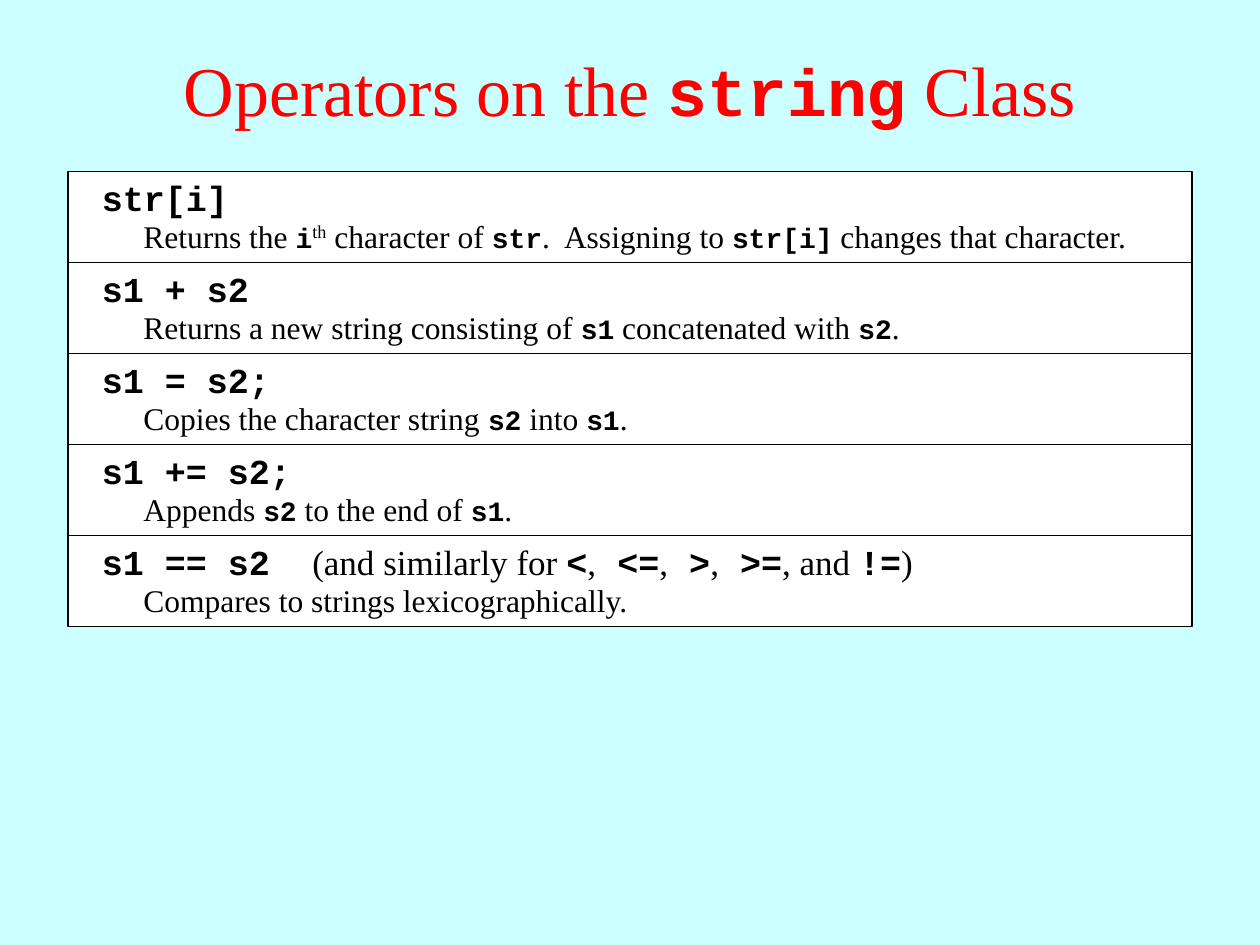
import pptx
import pptx.dml.color
import pptx.enum.shapes
import pptx.enum.text
import pptx.util

TITLE = "Operators on the `string` Class"
OPERATORS = [
    ("`str[i]`",
     "Returns the `i`^th^ character of `str`.  Assigning to `str[i]` changes that character."),
    ("`s1 + s2`", "Returns a new string consisting of `s1` concatenated with `s2`."),
    ("`s1 = s2;`", "Copies the character string `s2` into `s1`."),
    ("`s1 += s2;`", "Appends `s2` to the end of `s1`."),
    ("`s1 == s2  `(and similarly for `<`,` <=`,` >`,` >=`, and `!=`)",
     "Compares to strings lexicographically."),
]

THEME = {
    "background": "CCFFFF", "title": "FF0000", "text": "000000", "panel": "FFFFFF",
    "prose_font": "Times New Roman", "code_font": "Courier New",
    "title_sizes": (40, 38), "operator_sizes": (20, 20), "detail_sizes": (18, 16),
    "border": 0.75,
}

WIDTH, HEIGHT = 10, 7.5
PANEL_LEFT, PANEL_TOP = 0.54, 1.36
PANEL_WIDTH = WIDTH - 2 * PANEL_LEFT
ROW_HEIGHT = 0.7225
OPERATOR_BOX = (0.71, -0.01, 8.58, 0.43)
DETAIL_BOX = (1.04, 0.31, 8.33, 0.4)


def color(name):
    return pptx.dml.color.RGBColor.from_string(THEME[name])


def inches(*lengths):
    return [pptx.util.Inches(length) for length in lengths]


def add_run(paragraph, text, sizes, color_name, code, raised=False):
    run = paragraph.add_run()
    run.text = text
    run.font.name = THEME["code_font" if code else "prose_font"]
    run.font.size = pptx.util.Pt(sizes[code])
    run.font.bold = code
    run.font.color.rgb = color(color_name)
    if raised:
        run.font._element.set("baseline", "30000")


def add_text(shapes, box, markup, sizes, color_name="text"):
    shape = shapes.add_textbox(*inches(*box))
    shape.text_frame.word_wrap = True
    paragraph = shape.text_frame.paragraphs[0]
    for index, part in enumerate(markup.split("`")):
        code = index % 2 == 1
        pieces = [part] if code else part.split("^")
        for position, piece in enumerate(pieces):
            if piece:
                add_run(paragraph, piece, sizes, color_name, code, position % 2 == 1)
    return shape


def add_operator(slide, row, operator, detail):
    top = PANEL_TOP + row * ROW_HEIGHT
    shapes = slide.shapes.add_group_shape().shapes
    panel = shapes.add_shape(pptx.enum.shapes.MSO_SHAPE.RECTANGLE,
                             *inches(PANEL_LEFT, top, PANEL_WIDTH, ROW_HEIGHT))
    panel.shadow.inherit = False
    panel.fill.solid()
    panel.fill.fore_color.rgb = color("panel")
    panel.line.color.rgb = color("text")
    panel.line.width = pptx.util.Pt(THEME["border"])
    for box, markup, sizes in ((OPERATOR_BOX, operator, "operator_sizes"),
                               (DETAIL_BOX, detail, "detail_sizes")):
        left, offset, width, height = box
        add_text(shapes, (left, top + offset, width, height), markup, THEME[sizes])


def main():
    presentation = pptx.Presentation()
    presentation.slide_width, presentation.slide_height = inches(WIDTH, HEIGHT)
    slide = presentation.slides.add_slide(presentation.slide_layouts[6])
    slide.background.fill.solid()
    slide.background.fill.fore_color.rgb = color("background")

    title = add_text(slide.shapes, (0, 0.08, WIDTH, 1.25), TITLE,
                     THEME["title_sizes"], "title")
    title.text_frame.vertical_anchor = pptx.enum.text.MSO_ANCHOR.MIDDLE
    title.text_frame.paragraphs[0].alignment = pptx.enum.text.PP_ALIGN.CENTER

    for row, (operator, detail) in enumerate(OPERATORS):
        add_operator(slide, row, operator, detail)
    presentation.save("out.pptx")


if __name__ == "__main__":
    main()
